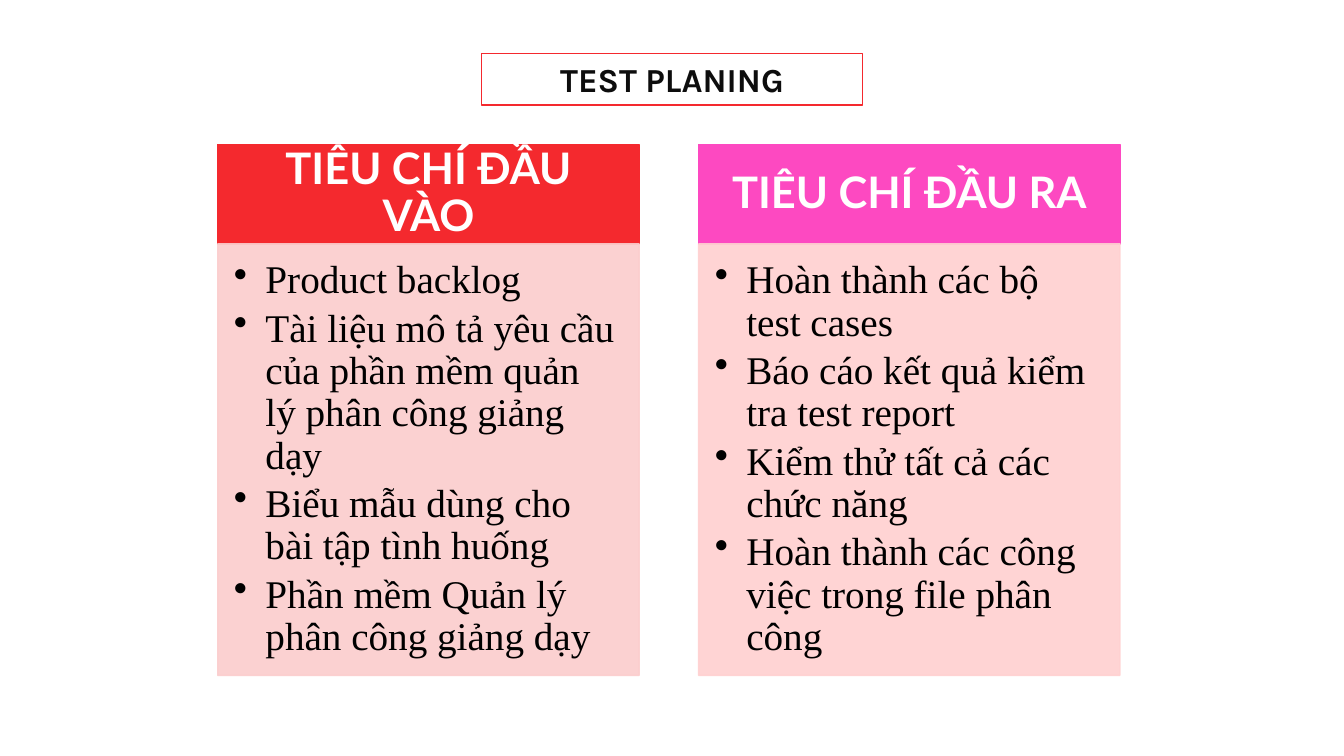
from lxml import etree
from pptx import Presentation
from pptx.dml.color import RGBColor
from pptx.enum.shapes import MSO_SHAPE
from pptx.enum.text import MSO_ANCHOR, MSO_AUTO_SIZE, PP_ALIGN
from pptx.oxml.ns import qn
from pptx.util import Pt

RECT = MSO_SHAPE.RECTANGLE
TOP, MIDDLE = MSO_ANCHOR.TOP, MSO_ANCHOR.MIDDLE
LEFT, CENTER = PP_ALIGN.LEFT, PP_ALIGN.CENTER
GROW = MSO_AUTO_SIZE.SHAPE_TO_FIT_TEXT

WHITE = RGBColor(0xFF, 0xFF, 0xFF)
BLACK = RGBColor(0, 0, 0)
INK = RGBColor(0x0D, 0x0D, 0x0D)
RED = RGBColor(0xF4, 0x29, 0x2E)
PINK = RGBColor(0xFD, 0x49, 0xC1)
PALE_RED = RGBColor(0xFB, 0xCD, 0xCD)
PALE_PINK = RGBColor(0xFF, 0xD0, 0xD0)

TITLE_FONT = {"name": "Karla", "size": Pt(24), "bold": True}
HEADER_FONT = {"name": "Lato", "size": Pt(31), "bold": True}
BODY_FONT = {"name": "Times New Roman", "size": Pt(28), "bold": False}

HEADER_HEIGHT = 71
COLUMN_TOP, COLUMN_WIDTH, COLUMN_HEIGHT = 103.2, 301, 379.2
COLUMN_LEFT, COLUMN_STEP = 155.5, 343.5
COLUMNS = [
    ("TIÊU CHÍ ĐẦU VÀO", RED, PALE_RED, [
        "Product backlog",
        "Tài liệu mô tả yêu cầu của phần mềm quản lý phân công giảng dạy",
        "Biểu mẫu dùng cho bài tập tình huống",
        "Phần mềm Quản lý phân công giảng dạy",
    ]),
    ("TIÊU CHÍ ĐẦU RA", PINK, PALE_PINK, [
        "Hoàn thành các bộ test cases",
        "Báo cáo kết quả kiểm tra test report",
        "Kiểm thử tất cả các chức năng",
        "Hoàn thành các công việc trong file phân công",
    ]),
]


def add_box(slide, box, fill, line, margins, anchor):
    """Add a filled rectangle and return it with its text frame set up."""
    s = slide.shapes.add_shape(RECT, *map(Pt, box))
    s.shadow.inherit = False
    s.fill.solid()
    s.fill.fore_color.rgb = fill
    s.line.color.rgb = line
    s.line.width = Pt(1)
    tf = s.text_frame
    tf.word_wrap = True
    tf.vertical_anchor = anchor
    for side, margin in zip(("left", "top", "right", "bottom"), margins):
        setattr(tf, f"margin_{side}", Pt(margin))
    return s


def add_text(p, text, font, color, align, spacing):
    """Write one formatted run into a paragraph."""
    p.alignment = align
    p.line_spacing = spacing
    r = p.add_run()
    r.text = text
    r.font.color.rgb = color
    for name, value in font.items():
        setattr(r.font, name, value)


def add_bullet(p):
    """Give a paragraph a round bullet with a hanging indent."""
    pPr = p._p.get_or_add_pPr()
    pPr.set("marL", str(Pt(22.5)))
    pPr.set("indent", str(-Pt(22.5)))
    etree.SubElement(pPr, qn("a:buChar")).set("char", "•")


def set_alpha(s, percent):
    """Make the fill and line of a shape partly transparent."""
    for color in s._element.spPr.iter(qn("a:srgbClr")):
        etree.SubElement(color, qn("a:alpha")).set("val", str(percent * 1000))


def add_title(slide, box):
    """Add the outlined slide title."""
    s = add_box(slide, box, WHITE, RED, (7.2, 3.6, 7.2, 3.6), TOP)
    s.text_frame.auto_size = GROW
    add_text(s.text_frame.paragraphs[0], "TEST PLANING", TITLE_FONT, INK, CENTER, 1.0)


def add_column(slide, box, heading, strong, pale, items):
    """Add a criteria column: coloured header above a bulleted panel."""
    x, y, w, h = box
    header = add_box(slide, (x, y, w, HEADER_HEIGHT), strong, strong,
                     (17.4, 9.9, 17.4, 9.9), MIDDLE)
    add_text(header.text_frame.paragraphs[0], heading, HEADER_FONT, WHITE, CENTER, 0.9)

    panel = add_box(slide, (x, y + HEADER_HEIGHT, w, h - HEADER_HEIGHT), pale, pale,
                    (11.6, 11.6, 15.5, 17.4), TOP)
    set_alpha(panel, 90)
    tf = panel.text_frame
    for i, item in enumerate(items):
        p = tf.add_paragraph() if i else tf.paragraphs[0]
        add_bullet(p)
        p.space_after = Pt(4.2)
        add_text(p, item, BODY_FONT, BLACK, LEFT, 0.9)


def main():
    """Build the slide and save it."""
    prs = Presentation()
    prs.slide_width, prs.slide_height = Pt(960), Pt(540)
    slide = prs.slides.add_slide(prs.slide_layouts[6])
    add_title(slide, (344, 38.2, 272, 36.7))
    for i, column in enumerate(COLUMNS):
        box = (COLUMN_LEFT + i * COLUMN_STEP, COLUMN_TOP, COLUMN_WIDTH, COLUMN_HEIGHT)
        add_column(slide, box, *column)
    prs.save("out.pptx")


if __name__ == "__main__":
    main()
